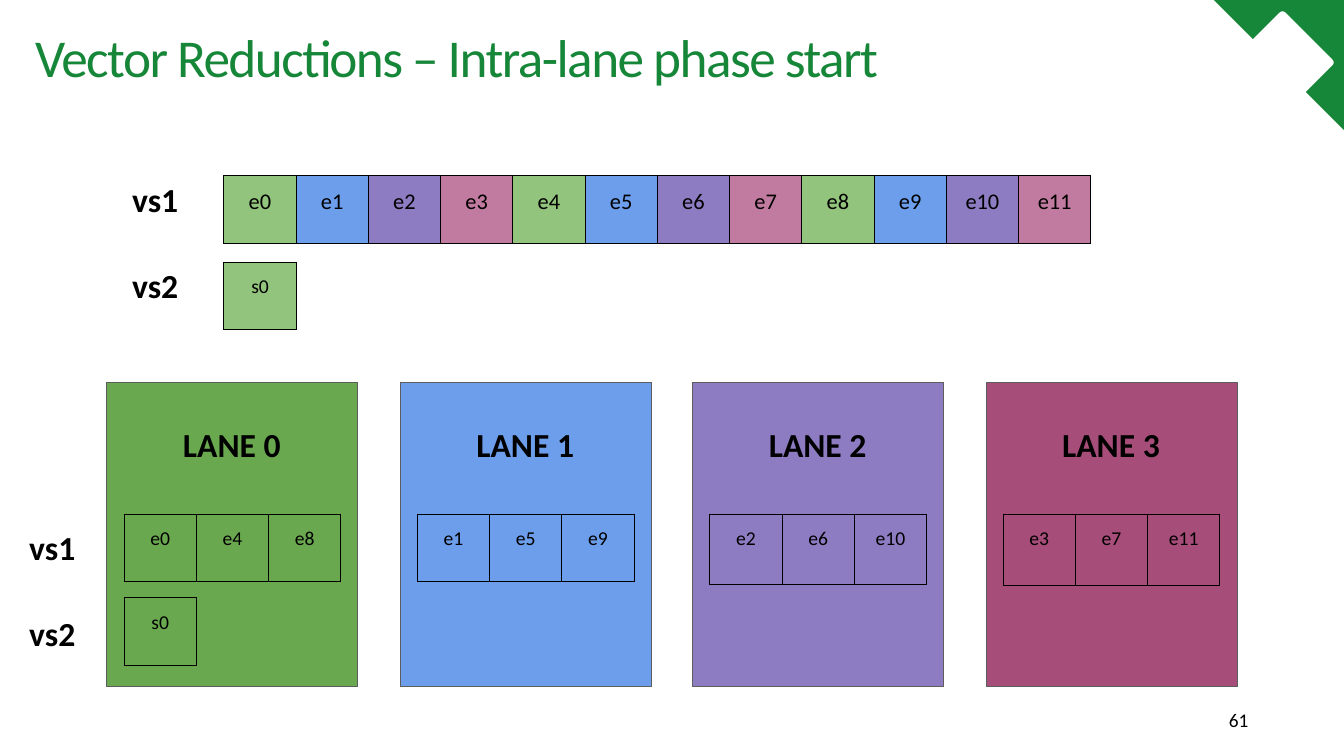
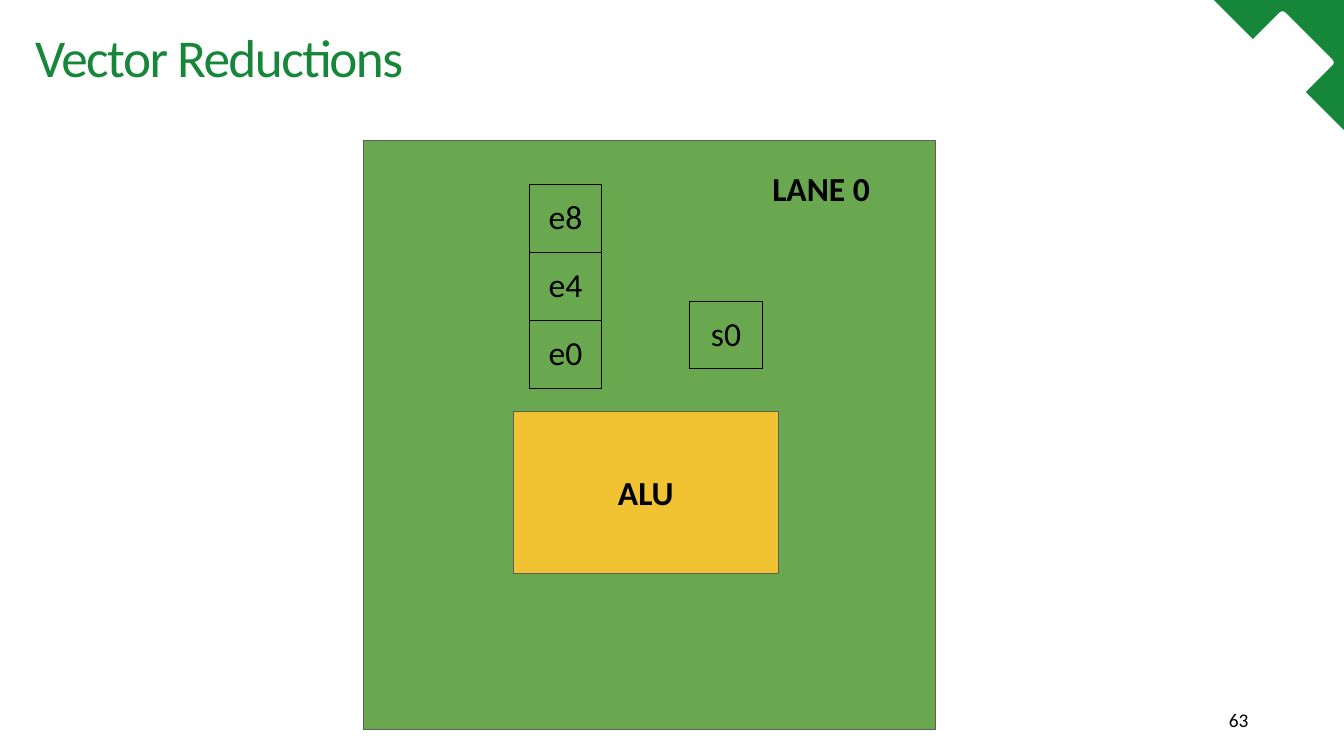
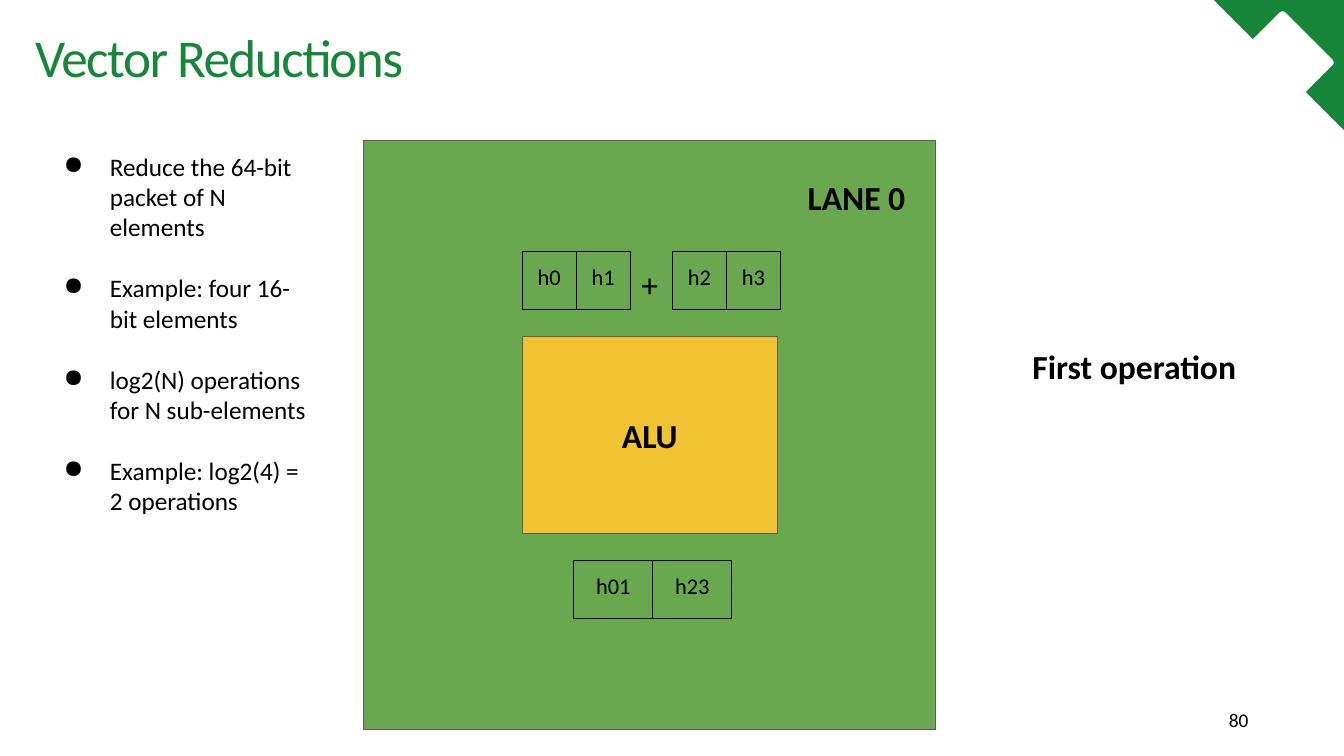
"""Build three slides on vector reductions across lanes."""
from dataclasses import dataclass

from lxml.etree import SubElement
from pptx import Presentation
from pptx.dml.color import RGBColor
from pptx.enum.shapes import MSO_SHAPE
from pptx.enum.text import MSO_ANCHOR, PP_ALIGN
from pptx.oxml import parse_xml
from pptx.oxml.ns import nsdecls, qn
from pptx.shapes.autoshape import Shape
from pptx.slide import Slide
from pptx.table import _Cell as Cell
from pptx.text.text import TextFrame, _Paragraph as Para
from pptx.util import Emu, Pt

SCALE = 9144
FONT = "Calibri"
PAD = 13
COLORS = {
    "brand": "168638", "white": "FFFFFF", "black": "000000", "edge": "5D5D5D",
    "green": "6AA84F", "blue": "6D9EEB", "purple": "8E7CC3", "plum": "A64D79",
    "mint": "93C47D", "pink": "C27BA0", "gold": "F1C232",
}
LANES = ("green", "blue", "purple", "plum")
TINTS = ("mint", "blue", "purple", "pink")
LANE = (361, 139, 567, 585)


@dataclass(frozen=True)
class Label:
    """A text box with one line of text."""
    text: str
    left: int
    top: int
    width: int
    height: int = 67
    size: float = 24
    bold: bool = True
    align: PP_ALIGN = PP_ALIGN.CENTER
    color: str = "black"
    pad: int = PAD
    anchor: MSO_ANCHOR = MSO_ANCHOR.TOP


@dataclass(frozen=True)
class Grid:
    """A table whose cells are words in row strings."""
    rows: tuple[str, ...]
    left: int
    top: int
    width: int
    height: int
    size: int
    fills: tuple[str, ...] = ()


@dataclass(frozen=True)
class Mark:
    """A part of the corner emblem."""
    kind: MSO_SHAPE
    left: int
    top: int
    side: int
    turn: int
    adjust: float
    color: str


CORNER = (
    Mark(MSO_SHAPE.ISOSCELES_TRIANGLE, 1204, 0, 130, 270, 1, "brand"),
    Mark(MSO_SHAPE.ROUNDED_RECTANGLE, 1212, 42, 41, 45, 0.05, "white"),
    Mark(MSO_SHAPE.ROUNDED_RECTANGLE, 1235, 25, 74, 45, 0.05, "white"),
)


def px(*sizes: int) -> list[Emu]:
    """Turn px lengths into EMU."""
    return [Emu(size * SCALE) for size in sizes]


def paint(name: str) -> RGBColor:
    """Look up a colour by name."""
    return RGBColor.from_string(COLORS[name])


def style(para: Para, size: float, bold: bool = False, color: str = "black") -> None:
    """Set the font of a paragraph."""
    font = para.font
    font.name, font.size, font.bold = FONT, Pt(size), bold
    font.color.rgb = paint(color)


def inset(box: TextFrame | Cell, pad: int) -> None:
    """Set four equal margins."""
    (gap,) = px(pad)
    box.margin_left = box.margin_right = box.margin_top = box.margin_bottom = gap


def write(frame: TextFrame, label: Label) -> Para:
    """Fill a text frame from a label."""
    frame.word_wrap = True
    frame.vertical_anchor = label.anchor
    inset(frame, label.pad)
    para = frame.paragraphs[0]
    para.text, para.alignment = label.text, label.align
    style(para, label.size, label.bold, label.color)
    return para


def add_label(slide: Slide, label: Label) -> Para:
    """Draw a label as a text box."""
    area = px(label.left, label.top, label.width, label.height)
    return write(slide.shapes.add_textbox(*area).text_frame, label)


def add_block(slide: Slide, area: tuple[int, ...], color: str) -> Shape:
    """Draw a filled rectangle with a thin edge."""
    block = slide.shapes.add_shape(MSO_SHAPE.RECTANGLE, *px(*area))
    block.shadow.inherit = False
    block.fill.solid()
    block.fill.fore_color.rgb = paint(color)
    block.line.color.rgb = paint("edge")
    block.line.width = Pt(0.75)
    return block


def add_alu(slide: Slide, *area: int) -> None:
    """Draw the ALU block."""
    block = add_block(slide, area, "gold")
    write(block.text_frame, Label("ALU", *area, anchor=MSO_ANCHOR.MIDDLE))


def add_edges(cell: Cell) -> None:
    """Give a cell four thin black borders."""
    props = cell._tc.get_or_add_tcPr()
    for spot, side in enumerate("LRTB"):
        props.insert(spot, parse_xml(
            f'<a:ln{side} {nsdecls("a")} w="9525"><a:solidFill>'
            f'<a:srgbClr val="{COLORS["black"]}"/></a:solidFill></a:ln{side}>'))


def add_grid(slide: Slide, grid: Grid) -> None:
    """Draw a grid as a table."""
    words = [row.split() for row in grid.rows]
    area = px(grid.left, grid.top, grid.width, grid.height)
    table = slide.shapes.add_table(len(words), len(words[0]), *area).table
    table.first_row = table.horz_banding = False
    for y, row in enumerate(words):
        for x, word in enumerate(row):
            cell = table.cell(y, x)
            inset(cell, PAD)
            if grid.fills:
                cell.fill.solid()
                cell.fill.fore_color.rgb = paint(grid.fills[x % len(grid.fills)])
            else:
                cell.fill.background()
            add_edges(cell)
            para = cell.text_frame.paragraphs[0]
            para.text, para.alignment = word, PP_ALIGN.CENTER
            style(para, grid.size)


def add_list(slide: Slide, lines: tuple[str, ...], *area: int) -> None:
    """Draw a bulleted list."""
    frame = slide.shapes.add_textbox(*px(*area)).text_frame
    frame.word_wrap = True
    inset(frame, PAD)
    for spot, line in enumerate(lines):
        para = frame.add_paragraph() if spot else frame.paragraphs[0]
        para.text = line
        if spot:
            para.space_before = Pt(22)
        props = para._p.get_or_add_pPr()
        props.set("marL", str(67 * SCALE))
        props.set("indent", str(-46 * SCALE))
        SubElement(props, qn("a:buChar"), char="●")
        style(para, 18)


def add_page(deck: Presentation, title: str, number: str) -> Slide:
    """Add a slide with the corner emblem, title and number."""
    slide = deck.slides.add_slide(deck.slide_layouts[6])
    for mark in CORNER:
        area = px(mark.left, mark.top, mark.side, mark.side)
        shape = slide.shapes.add_shape(mark.kind, *area)
        shape.shadow.inherit = False
        shape.rotation = mark.turn
        shape.adjustments[0] = mark.adjust
        shape.fill.solid()
        shape.fill.fore_color.rgb = paint(mark.color)
        shape.line.fill.background()
    head = add_label(slide, Label(title, 35, 20, 1167, 72, 38, False, PP_ALIGN.LEFT,
                                  "brand", 0, MSO_ANCHOR.MIDDLE))
    head.runs[0]._r.get_or_add_rPr().set("spc", "-110")
    add_label(slide, Label(number, 1209, 689, 39, 51, 13.8, False,
                           pad=0, anchor=MSO_ANCHOR.MIDDLE))
    return slide


def draw_start(deck: Presentation) -> None:
    """Draw how elements spread over the lanes."""
    slide = add_page(deck, "Vector Reductions – Intra-lane phase start", "61")
    names = [f"e{i}" for i in range(12)]
    for i, (color, tall) in enumerate(zip(LANES, (67, 67, 70, 71))):
        left = round(106 + i * 290.67)
        add_block(slide, (left, 379, 249, 302), color)
        add_label(slide, Label(f"LANE {i}", left + 47, 408, 154))
        part = " ".join(names[i::len(LANES)])
        add_grid(slide, Grid((part,), left + 17, 510, 215, tall, 14))
    add_grid(slide, Grid(("s0",), 123, 593, 72, 67, 14))
    add_grid(slide, Grid((" ".join(names),), 222, 174, 860, 68, 16, TINTS))
    add_grid(slide, Grid(("s0",), 222, 260, 72, 67, 14, TINTS))
    for left, top in ((118, 165), (16, 510)):
        for i, name in enumerate(("vs1", "vs2")):
            add_label(slide, Label(name, left, top + i * 85, 83, align=PP_ALIGN.LEFT))


def draw_queue(deck: Presentation) -> None:
    """Draw the elements waiting in lane 0."""
    slide = add_page(deck, "Vector Reductions", "63")
    add_block(slide, LANE, "green")
    add_alu(slide, 509, 408, 263, 161)
    add_grid(slide, Grid(("s0",), 684, 299, 72, 67, 24))
    add_grid(slide, Grid(("e8", "e4", "e0"), 525, 183, 72, 202, 24))
    add_label(slide, Label("LANE 0", 596, 154, 437))


def draw_first(deck: Presentation) -> None:
    """Draw the first operation on sub-elements."""
    slide = add_page(deck, "Vector Reductions", "80")
    add_block(slide, LANE, "green")
    add_alu(slide, 518, 334, 253, 195)
    add_label(slide, Label("LANE 0", 706, 163, 287))
    add_grid(slide, Grid(("h0 h1",), 518, 249, 107, 58, 16))
    add_grid(slide, Grid(("h2 h3",), 667, 249, 107, 58, 16))
    add_label(slide, Label("+", 591, 249, 107, bold=False))
    add_grid(slide, Grid(("h01 h23",), 569, 556, 157, 58, 16))
    add_label(slide, Label("First operation", 1011, 330, 306, align=PP_ALIGN.LEFT))
    add_list(slide, (
        "Reduce the 64-bit packet of N elements",
        "Example: four 16-bit elements",
        "log2(N) operations for N sub-elements",
        "Example: log2(4) = 2 operations",
    ), 29, 137, 293, 390)


def main() -> None:
    """Build and save the deck."""
    deck = Presentation()
    deck.slide_width, deck.slide_height = px(1333, 750)
    draw_start(deck)
    draw_queue(deck)
    draw_first(deck)
    deck.save("out.pptx")


if __name__ == "__main__":
    main()
